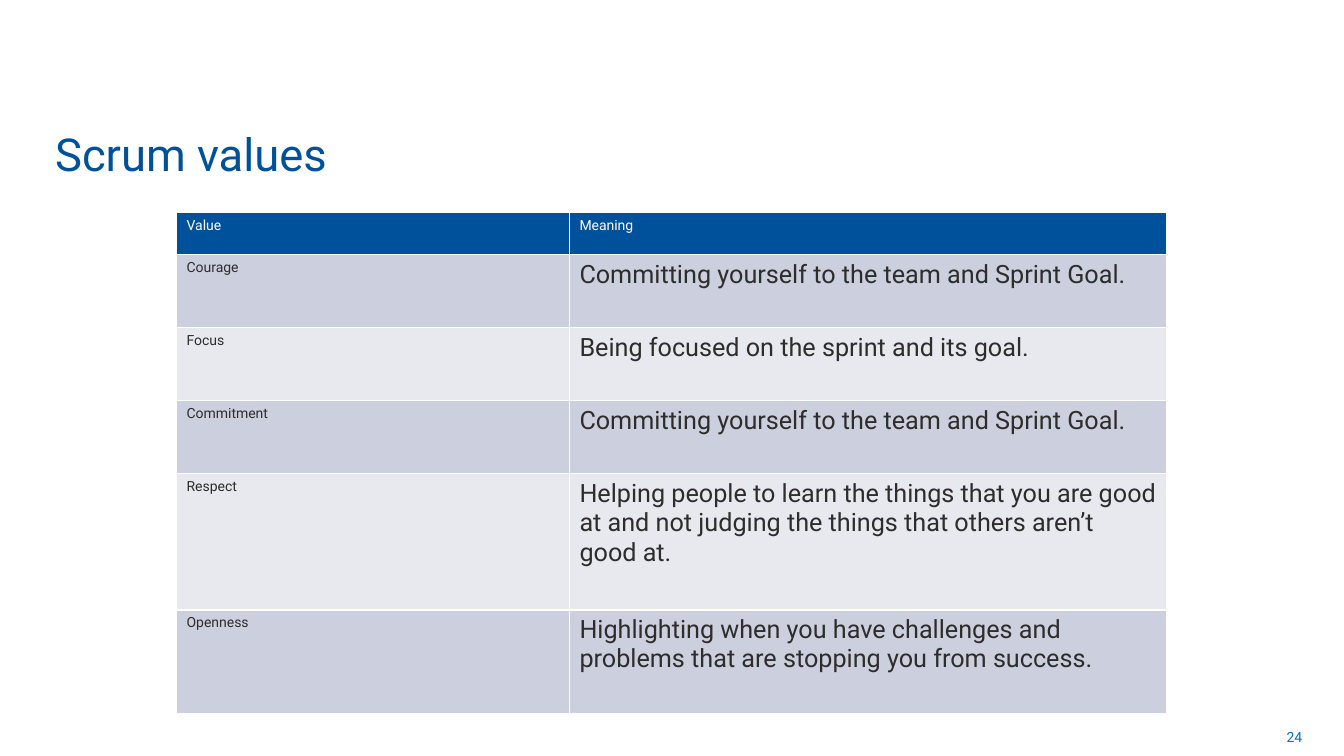
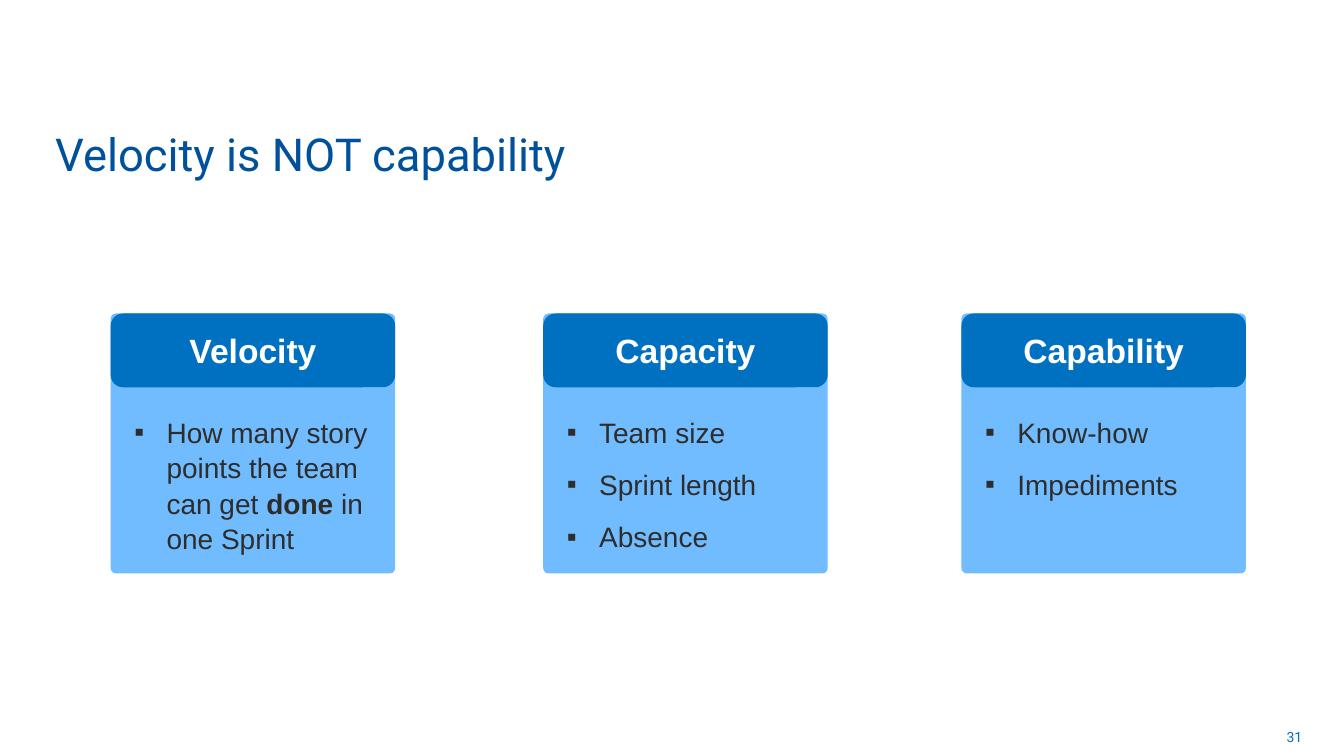
from dataclasses import dataclass

from lxml.etree import SubElement
from pptx import Presentation
from pptx.dml.color import RGBColor
from pptx.enum.shapes import MSO_SHAPE
from pptx.enum.text import MSO_ANCHOR as Anchor, PP_ALIGN as Align
from pptx.oxml.ns import qn
from pptx.util import Cm, Pt


@dataclass(frozen=True)
class Theme:
    title_blue: RGBColor = RGBColor.from_string("00519C")
    accent_blue: RGBColor = RGBColor.from_string("0070C0")
    card_blue: RGBColor = RGBColor.from_string("71BBFF")
    band_dark: RGBColor = RGBColor.from_string("CCD0DE")
    band_light: RGBColor = RGBColor.from_string("E7E9EF")
    ink: RGBColor = RGBColor.from_string("2E2D2C")
    white: RGBColor = RGBColor.from_string("FFFFFF")
    font: str = "Roboto"
    card_font: str = "Arial"
    title_size: float = 32.4
    heading_size: float = 24
    bullet_size: float = 20
    meaning_size: float = 18
    small_size: float = 10


THEME = Theme()


@dataclass(frozen=True)
class Box:
    left: float
    top: float
    width: float
    height: float

    def lengths(self) -> tuple:
        return Cm(self.left), Cm(self.top), Cm(self.width), Cm(self.height)


@dataclass(frozen=True)
class ValueRow:
    value: str
    meaning: str
    height: float


@dataclass(frozen=True)
class Card:
    """A headed list; text between asterisks in a bullet is bold."""
    heading: str
    left: float
    bullets: tuple[str, ...]


SLIDE_SIZE = Cm(33.87), Cm(19.05)
TITLE_BOX = Box(1.14, 2.87, 25.35, 1.75)
NUMBER_BOX = Box(25.17, 18.03, 7.9, 1.02)
TABLE_LEFT, TABLE_TOP = 4.45, 5.36
COLUMN_WIDTHS = 9.9, 15.06
CARD_TOP, CARD_WIDTH, CARD_HEIGHT, HEADING_HEIGHT = 7.9, 7.17, 6.55, 1.86

VALUE_ROWS = (
    ValueRow("Value", "Meaning", 1.06),
    ValueRow("Courage", "Committing yourself to the team and Sprint Goal.", 1.84),
    ValueRow("Focus", "Being focused on the sprint and its goal.", 1.84),
    ValueRow("Commitment", "Committing yourself to the team and Sprint Goal.", 1.84),
    ValueRow("Respect", "Helping people to learn the things that you are good at and "
             "not judging the things that others aren’t good at.", 3.43),
    ValueRow("Openness", "Highlighting when you have challenges and problems that are "
             "stopping you from success.", 2.62),
)

CARDS = (
    Card("Velocity", 2.79, ("How many story points the team can get *done* in one Sprint",)),
    Card("Capacity", 13.69, ("Team size", "Sprint length", "Absence")),
    Card("Capability", 24.23, ("Know-how", "Impediments")),
)


def style(paragraph, size: float, color: RGBColor, name: str = THEME.font) -> None:
    font = paragraph.font
    font.name, font.size, font.color.rgb = name, Pt(size), color


def add_label(slide, box: Box, text: str, size: float, color: RGBColor,
              anchor: Anchor, align: Align = Align.LEFT) -> None:
    frame = slide.shapes.add_textbox(*box.lengths()).text_frame
    frame.word_wrap = True
    frame.vertical_anchor = anchor
    frame.margin_bottom = Cm(0.08)
    paragraph = frame.paragraphs[0]
    paragraph.text, paragraph.alignment = text, align
    style(paragraph, size, color)


def add_slide(presentation, title: str, number: int):
    """Add a blank slide with the shared title and page number."""
    slide = presentation.slides.add_slide(presentation.slide_layouts[6])
    add_label(slide, NUMBER_BOX, str(number), THEME.small_size, THEME.accent_blue,
              Anchor.MIDDLE, Align.RIGHT)
    add_label(slide, TITLE_BOX, title, THEME.title_size, THEME.title_blue, Anchor.BOTTOM)
    return slide


def add_borders(cell) -> None:
    properties = cell._tc.get_or_add_tcPr()
    for side in ("lnL", "lnR", "lnT", "lnB"):
        line = SubElement(properties, qn(f"a:{side}"), w=str(Pt(1)))
        fill = SubElement(line, qn("a:solidFill"))
        SubElement(fill, qn("a:srgbClr"), val=str(THEME.white))


def fill_cell(cell, text: str, size: float, color: RGBColor, background: RGBColor) -> None:
    add_borders(cell)
    cell.fill.solid()
    cell.fill.fore_color.rgb = background
    cell.text = text
    style(cell.text_frame.paragraphs[0], size, color)


def add_value_table(slide, rows: tuple[ValueRow, ...]) -> None:
    box = Box(TABLE_LEFT, TABLE_TOP, sum(COLUMN_WIDTHS), sum(row.height for row in rows))
    table = slide.shapes.add_table(len(rows), len(COLUMN_WIDTHS), *box.lengths()).table
    for column, width in zip(table.columns, COLUMN_WIDTHS):
        column.width = Cm(width)
    for index, row in enumerate(rows):
        table.rows[index].height = Cm(row.height)
        if index == 0:
            color, background, meaning_size = THEME.white, THEME.title_blue, THEME.small_size
        else:
            color, meaning_size = THEME.ink, THEME.meaning_size
            background = THEME.band_dark if index % 2 else THEME.band_light
        fill_cell(table.cell(index, 0), row.value, THEME.small_size, color, background)
        fill_cell(table.cell(index, 1), row.meaning, meaning_size, color, background)


def add_rounded_box(group, box: Box, color: RGBColor):
    shape = group.shapes.add_shape(MSO_SHAPE.ROUNDED_RECTANGLE, *box.lengths())
    shape.shadow.inherit = False
    shape.fill.solid()
    shape.fill.fore_color.rgb = color
    shape.line.fill.background()
    shape.text_frame.word_wrap = True
    return shape


def add_bullet(paragraph, text: str) -> None:
    properties = paragraph._p.get_or_add_pPr()
    properties.set("marL", str(Cm(1.12)))
    properties.set("indent", str(Cm(-0.81)))
    SubElement(properties, qn("a:buFont"), typeface=THEME.card_font)
    SubElement(properties, qn("a:buChar"), char="▪")
    paragraph.alignment = Align.LEFT
    paragraph.line_spacing = 1.05
    style(paragraph, THEME.bullet_size, THEME.ink, THEME.card_font)
    for index, part in enumerate(text.split("*")):
        run = paragraph.add_run()
        run.text = part
        if index % 2:
            run.font.bold = True


def add_card(slide, card: Card) -> None:
    group = slide.shapes.add_group_shape()
    body = add_rounded_box(group, Box(card.left, CARD_TOP, CARD_WIDTH, CARD_HEIGHT),
                           THEME.card_blue)
    body.adjustments[0] = 0.02
    frame = body.text_frame
    frame.vertical_anchor = Anchor.TOP
    frame.margin_top = Cm(2.49)
    for index, text in enumerate(card.bullets):
        paragraph = frame.add_paragraph() if index else frame.paragraphs[0]
        if index:
            paragraph.space_before = Pt(12)
        add_bullet(paragraph, text)

    heading = add_rounded_box(group, Box(card.left, CARD_TOP, CARD_WIDTH, HEADING_HEIGHT),
                              THEME.accent_blue)
    heading.text_frame.vertical_anchor = Anchor.MIDDLE
    paragraph = heading.text_frame.paragraphs[0]
    paragraph.text, paragraph.alignment = card.heading, Align.CENTER
    style(paragraph, THEME.heading_size, THEME.white, THEME.card_font)
    paragraph.font.bold = True


def main() -> None:
    presentation = Presentation()
    presentation.slide_width, presentation.slide_height = SLIDE_SIZE
    add_value_table(add_slide(presentation, "Scrum values", 24), VALUE_ROWS)
    velocity_slide = add_slide(presentation, "Velocity is NOT capability", 31)
    for card in CARDS:
        add_card(velocity_slide, card)
    presentation.save("out.pptx")


if __name__ == "__main__":
    main()
